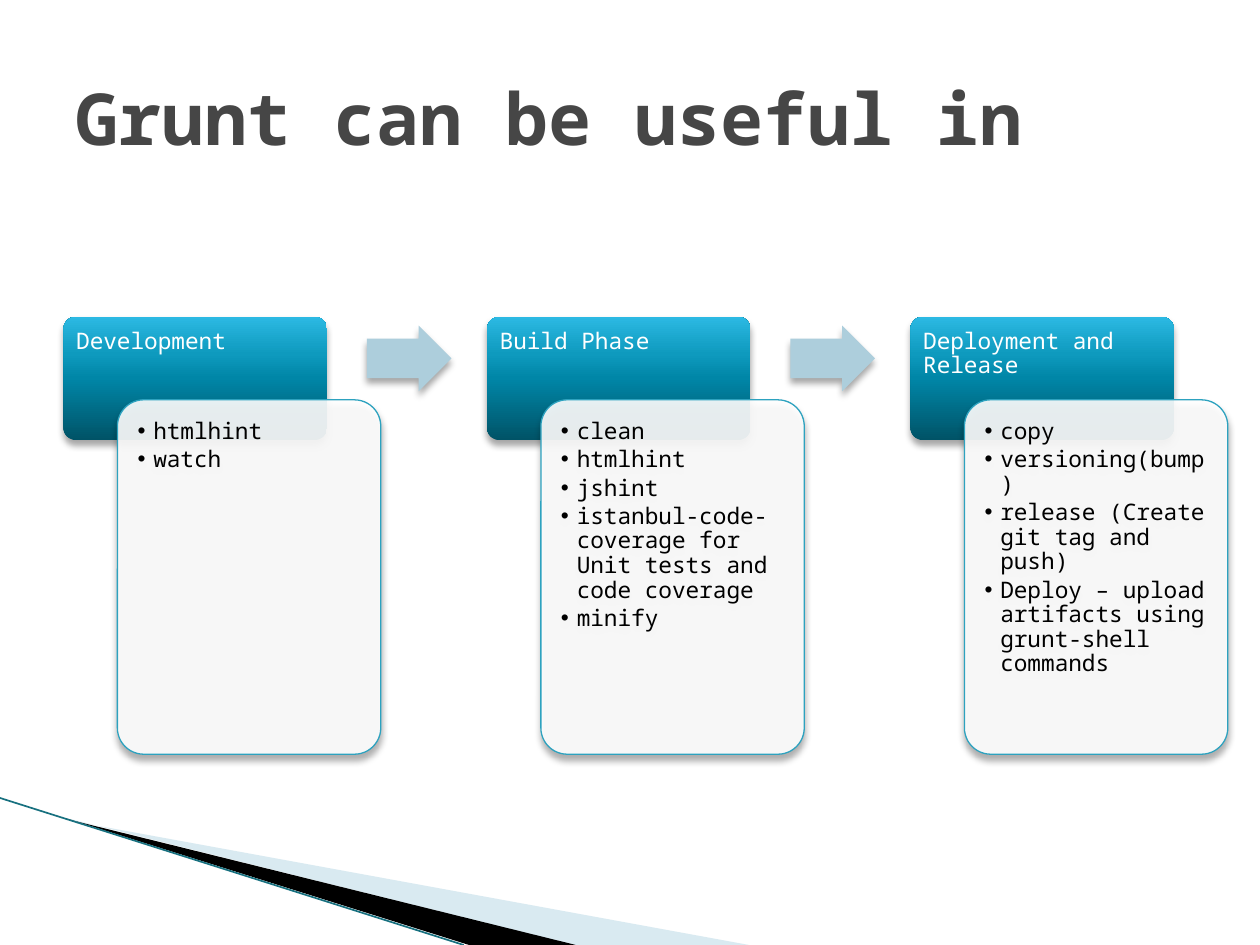
import pptx
import pptx.util
import pptx.dml.color
import pptx.enum.shapes
import pptx.enum.text
import pptx.oxml
import pptx.oxml.ns
import lxml.etree
import dataclasses

Pt = pptx.util.Pt
KIND = pptx.enum.shapes.MSO_SHAPE
qn = pptx.oxml.ns.qn


@dataclasses.dataclass(frozen=True)
class Theme:
    """Colours and type sizes."""
    font: str = "Noto Sans Mono"
    title: str = "464646"
    light: str = "FFFFFF"
    dark: str = "000000"
    edge: str = "2DA2BF"
    arrow: str = "ADCEDC"
    wedge: str = "A0CBDC"
    rule: str = "17707F"
    fade: tuple = ((0, "005367"), (50, "0086A7"), (70, "0E9ABE"), (100, "2CB9E3"))
    big: float = 41
    small: float = 13


THEME = Theme()
PHASES = [
    ("Development", ["htmlhint", "watch"]),
    ("Build Phase", ["clean", "htmlhint", "jshint",
                     "istanbul-code-coverage for Unit tests and code coverage", "minify"]),
    ("Deployment and Release", ["copy", "versioning(bump)",
                                "release (Create git tag and push)",
                                "Deploy \u2013 upload artifacts using grunt-shell commands"]),
]


def rgb(code):
    """Turn a hex code into a colour."""
    return pptx.dml.color.RGBColor.from_string(code)


def add_node(base, tag, **attrs):
    """Append a DrawingML node."""
    node = lxml.etree.SubElement(base, qn("a:" + tag))
    for key, value in attrs.items():
        node.set(key, str(value))
    return node


def paint(shape, code, alpha=100):
    """Give a shape a solid fill, clear in part, and no line."""
    shape.shadow.inherit = False
    shape.fill.solid()
    shape.fill.fore_color.rgb = rgb(code)
    if alpha < 100:
        tint = shape.fill._xPr.find(qn("a:solidFill"))[0]
        add_node(tint, "alpha", val=alpha * 1000)
    shape.line.fill.background()


def blend(shape, stops):
    """Fill a shape with a fade that runs from foot to top."""
    shape.fill.gradient()
    shape.fill.gradient_angle = 90
    row = shape.fill._xPr.find(qn("a:gradFill")).find(qn("a:gsLst"))
    for stop in list(row):
        row.remove(stop)
    for place, code in stops:
        add_node(add_node(row, "gs", pos=place * 1000), "srgbClr", val=code)


def add_shade(shape):
    """Cast a soft shadow straight down."""
    base = shape._element.spPr.find(qn("a:effectLst"))
    shade = add_node(base, "outerShdw", blurRad=Pt(4), dist=Pt(3),
                     dir=5400000, rotWithShape=0)
    add_node(add_node(shade, "srgbClr", val=THEME.dark), "alpha", val=35000)


def add_form(slide, kind, box, code, adjust, alpha=100):
    """Place a preset shape with fill and shadow."""
    shape = slide.shapes.add_shape(kind, *map(Pt, box))
    for slot, value in enumerate(adjust):
        shape.adjustments[slot] = value
    paint(shape, code, alpha)
    add_shade(shape)
    return shape


def write(shape, lines, size, code, inset, bold=False, gap=0, lead=1, bullet=False):
    """Write one paragraph for each line of text."""
    frame = shape.text_frame
    frame.word_wrap = True
    frame.vertical_anchor = pptx.enum.text.MSO_ANCHOR.TOP
    frame.margin_left = frame.margin_right = Pt(inset)
    frame.margin_top = frame.margin_bottom = Pt(inset)
    for count, line in enumerate(lines):
        para = frame.add_paragraph() if count else frame.paragraphs[0]
        para.alignment = pptx.enum.text.PP_ALIGN.LEFT
        para.line_spacing = lead
        para.space_after = Pt(gap)
        if bullet:
            props = para._p.get_or_add_pPr()
            props.set("marL", str(Pt(9)))
            props.set("indent", str(Pt(-9)))
            add_node(props, "buFont", typeface="Arial")
            add_node(props, "buChar", char="\u2022")
        run = para.add_run()
        run.text = line
        run.font.name = THEME.font
        run.font.size = Pt(size)
        run.font.bold = bold
        run.font.color.rgb = rgb(code)


def add_corner(slide, left, top):
    """Draw the wedges and the rule in the lower left corner."""
    wedges = [
        (THEME.wedge, 40, [(39.6, 13), (428, 84), (328, 84), (39.6, 12)]),
        (THEME.dark, 100, [(38.2, 11.5), (329, 84), (267.8, 84), (38.9, 12)]),
    ]
    for code, alpha, points in wedges:
        spots = [(left + x, top + y) for x, y in points]
        pen = slide.shapes.build_freeform(*spots[0], scale=Pt(1))
        pen.add_line_segments(spots[1:], close=True)
        paint(pen.convert_to_shape(), code, alpha)
    rule = slide.shapes.add_connector(
        pptx.enum.shapes.MSO_CONNECTOR.STRAIGHT,
        Pt(left), Pt(top), Pt(left + 265), Pt(top + 84))
    rule.line.color.rgb = rgb(THEME.rule)
    rule.line.width = Pt(0.95)
    add_node(rule._element.spPr, "effectLst")


def add_phase(slide, left, top, name, tasks):
    """Place a phase: its head, and the card of tasks that laps over it."""
    width = 150.5
    head = add_form(slide, KIND.ROUNDED_RECTANGLE, (left, top, width, 70.5),
                    THEME.edge, [0.1])
    blend(head, THEME.fade)
    write(head, [name], THEME.small, THEME.light, 5.2, gap=4.5, lead=0.9)
    card = add_form(slide, KIND.ROUNDED_RECTANGLE,
                    (left + 30.8, top + 47.5, width, 202.5), THEME.light, [0.1], 90)
    card.line.color.rgb = rgb(THEME.edge)
    card.line.width = Pt(0.75)
    write(card, tasks, THEME.small, THEME.dark, 7.2, gap=2, lead=0.9, bullet=True)


def add_flow(slide, left, top, pitch):
    """Set the phases in a row with an arrow between each pair."""
    for count, (name, tasks) in enumerate(PHASES):
        start = left + count * pitch
        if count:
            add_form(slide, KIND.RIGHT_ARROW, (start - 68.7, top + 5, 48.4, 37.5),
                     THEME.arrow, [0.6, 0.5])
        add_phase(slide, start, top, name, tasks)


def add_title(slide, left, top, width, height):
    """Place the slide title."""
    title = slide.shapes.add_textbox(*map(Pt, (left, top, width, height)))
    write(title, ["Grunt can be useful in"], THEME.big, THEME.title, 7.2, bold=True)
    title.text_frame.vertical_anchor = pptx.enum.text.MSO_ANCHOR.MIDDLE


def main():
    """Build and save the slide."""
    deck = pptx.Presentation()
    deck.slide_width, deck.slide_height = Pt(720), Pt(540)
    slide = deck.slides.add_slide(deck.slide_layouts[6])
    add_corner(slide, 0, 456)
    add_flow(slide, 36.3, 181, 242)
    add_title(slide, 36, 21.6, 648, 90)
    deck.save("out.pptx")


main()
